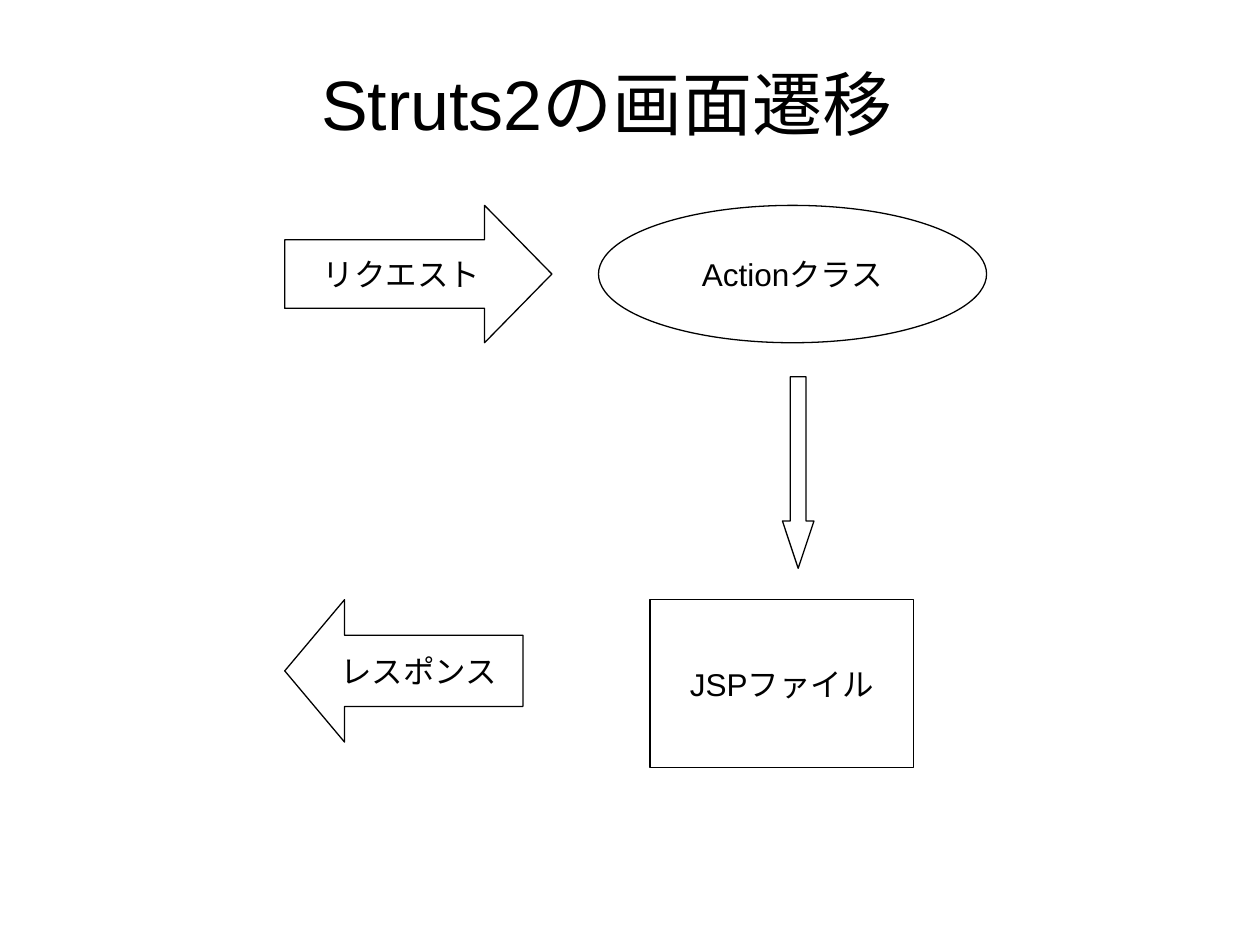
from dataclasses import dataclass

import pptx
import pptx.dml.color
import pptx.enum.shapes
import pptx.enum.text
import pptx.util

Inches = pptx.util.Inches
SHAPE = pptx.enum.shapes.MSO_SHAPE
ALIGN = pptx.enum.text.PP_ALIGN
ANCHOR = pptx.enum.text.MSO_ANCHOR


@dataclass(frozen=True)
class Theme:
    ink: pptx.dml.color.RGBColor = pptx.dml.color.RGBColor(0, 0, 0)
    paper: pptx.dml.color.RGBColor = pptx.dml.color.RGBColor(255, 255, 255)
    font: str = "Arial"
    title_size: int = 40
    label_size: int = 18
    line_width: float = 0.75


THEME = Theme()


def set_text(sp, text, size=THEME.label_size, align=ALIGN.CENTER,
             anchor=ANCHOR.MIDDLE, margin_right=0.1):
    tf = sp.text_frame
    tf.word_wrap = False
    tf.auto_size = pptx.enum.text.MSO_AUTO_SIZE.NONE
    tf.vertical_anchor = anchor
    tf.margin_right = Inches(margin_right)
    p = tf.paragraphs[0]
    p.alignment = align
    r = p.add_run()
    r.text = text
    r.font.name = THEME.font
    r.font.size = pptx.util.Pt(size)
    r.font.color.rgb = THEME.ink


def add_title(s, text, left, top, width, height):
    sp = s.shapes.title
    sp.left, sp.top = Inches(left), Inches(top)
    sp.width, sp.height = Inches(width), Inches(height)
    # Title placeholders can wrap regardless, so the line gets the full width.
    set_text(sp, text, size=THEME.title_size, align=ALIGN.LEFT,
             anchor=ANCHOR.TOP, margin_right=0)


def add_node(s, kind, left, top, width, height, text="", adjustments=()):
    """Add an outlined shape with an optional centred label."""
    sp = s.shapes.add_shape(kind, Inches(left), Inches(top),
                            Inches(width), Inches(height))
    for i, value in enumerate(adjustments):
        sp.adjustments[i] = value
    sp.shadow.inherit = False
    sp.fill.background()
    sp.line.color.rgb = THEME.ink
    sp.line.width = pptx.util.Pt(THEME.line_width)
    if text:
        set_text(sp, text)


def add_flow(s, left, top):
    """Draw request, action, JSP and response from the top left corner."""
    lower = top + 3.13
    add_node(s, SHAPE.OVAL, left + 2.49, top, 3.08, 1.09, "Actionクラス")
    add_node(s, SHAPE.RECTANGLE, left + 2.9, lower, 2.09, 1.33, "JSPファイル")
    add_node(s, SHAPE.RIGHT_ARROW, left, top, 2.12, 1.09, "リクエスト",
             (0.5, 0.49))
    add_node(s, SHAPE.LEFT_ARROW, left, lower, 1.89, 1.13, "レスポンス",
             (0.5, 0.42))
    add_node(s, SHAPE.DOWN_ARROW, left + 3.95, top + 1.36, 0.25, 1.52,
             adjustments=(0.5, 1.5))


def main():
    prs = pptx.Presentation()
    prs.slide_width, prs.slide_height = Inches(10), Inches(7.5)
    s = prs.slides.add_slide(prs.slide_layouts.get_by_name("Title Only"))
    s.background.fill.solid()
    s.background.fill.fore_color.rgb = THEME.paper
    add_title(s, "Struts2の画面遷移", 2.45, 0.43, 4.86, 0.77)
    add_flow(s, 2.26, 1.63)
    prs.save("out.pptx")


if __name__ == "__main__":
    main()
